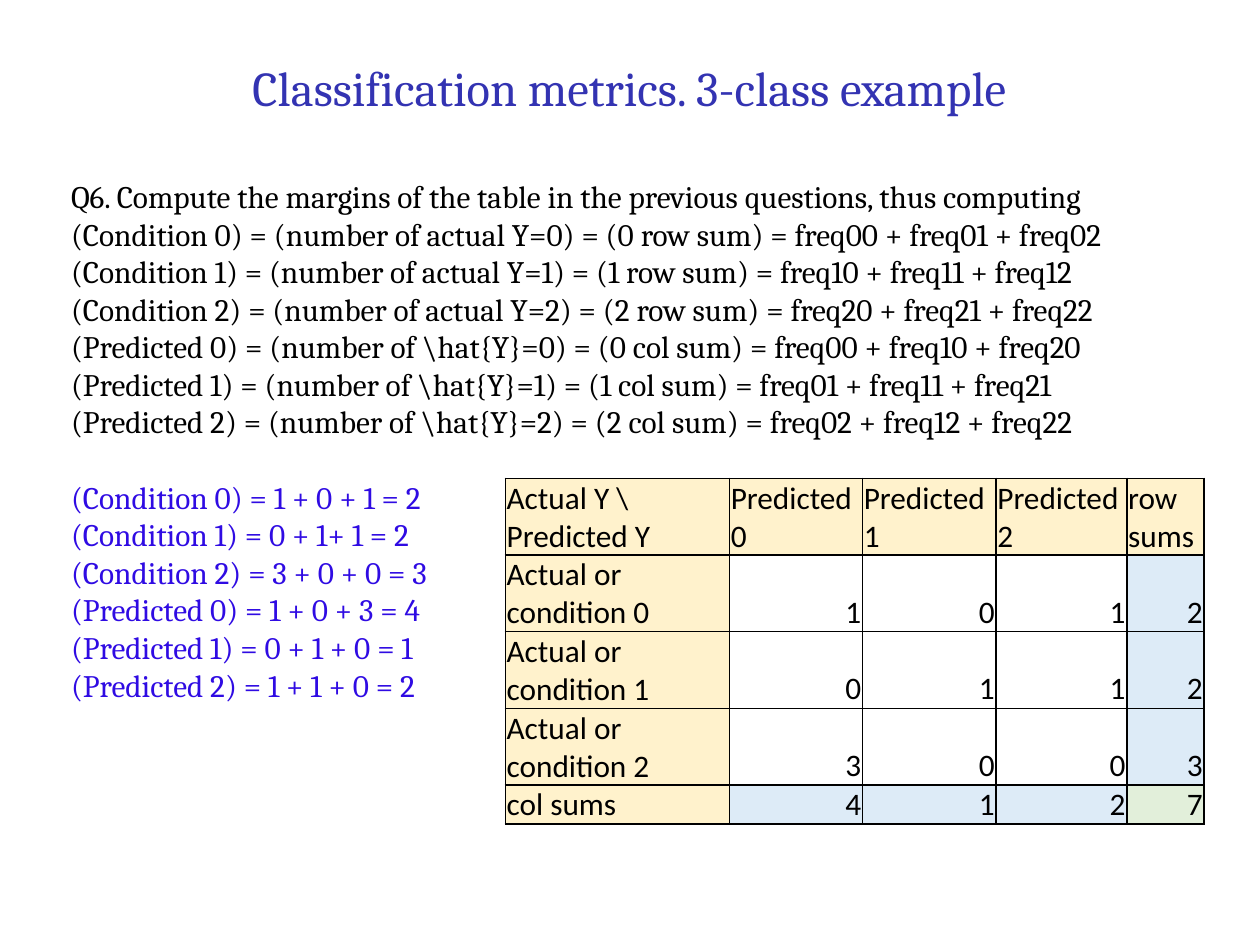
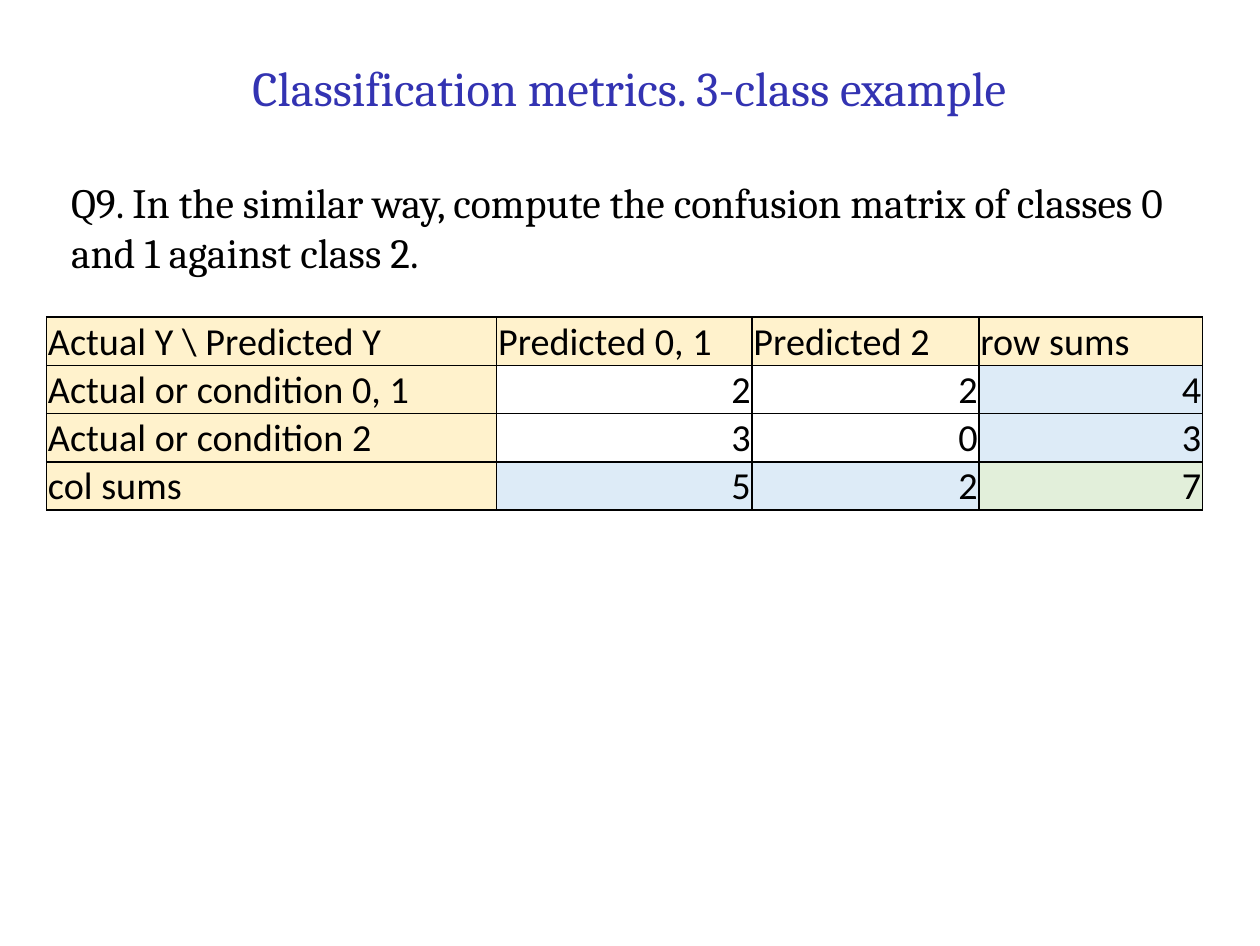
import pptx
import pptx.dml.color
import pptx.enum.text
import pptx.oxml.ns
import pptx.util
from lxml import etree

Pt = pptx.util.Pt
ALIGN = pptx.enum.text.PP_ALIGN
WIDTH, HEIGHT = 363, 272.5
BLACK, TITLE_BLUE, ANSWER_BLUE = "000000", "3333B2", "2F0BE3"
LABEL_FILL, SUM_FILL, TOTAL_FILL = "FFF2CC", "DDEBF7", "E2EFDA"
CORNER = "Actual Y \\ Predicted Y"


def style(paragraph, font_name, size, color):
    paragraph.font.name = font_name
    paragraph.font.size = Pt(size)
    paragraph.font.color.rgb = pptx.dml.color.RGBColor.from_string(color)


def draw_border(cell):
    """Give all four sides of a table cell a thin black line."""
    properties = cell._tc.get_or_add_tcPr()
    qn = pptx.oxml.ns.qn
    for side in ("a:lnL", "a:lnR", "a:lnT", "a:lnB"):
        line = etree.SubElement(properties, qn(side), w=str(Pt(0.5)))
        fill = etree.SubElement(line, qn("a:solidFill"))
        etree.SubElement(fill, qn("a:srgbClr"), val=BLACK)


slides = [
    {
        "question": [
            "Q6. Compute the margins of the table in the previous questions, thus computing",
            "(Condition 0) = (number of actual Y=0) = (0 row sum) = freq00 + freq01 + freq02",
            "(Condition 1) = (number of actual Y=1) = (1 row sum) = freq10 + freq11 + freq12",
            "(Condition 2) = (number of actual Y=2) = (2 row sum) = freq20 + freq21 + freq22",
            "(Predicted 0) = (number of \\hat{Y}=0) = (0 col sum) = freq00 + freq10 + freq20",
            "(Predicted 1) = (number of \\hat{Y}=1) = (1 col sum) = freq01 + freq11 + freq21",
            "(Predicted 2) = (number of \\hat{Y}=2) = (2 col sum) = freq02 + freq12 + freq22",
        ],
        "answers": [
            "(Condition 0) = 1 + 0 + 1 = 2",
            "(Condition 1) = 0 + 1+ 1 = 2",
            "(Condition 2) = 3 + 0 + 0 = 3",
            "(Predicted 0) = 1 + 0 + 3 = 4",
            "(Predicted 1) = 0 + 1 + 0 = 1",
            "(Predicted 2) = 1 + 1 + 0 = 2",
        ],
        "text_size": 9, "text_height": 170.6,
        "predicted": ["Predicted\n0", "Predicted\n1", "Predicted\n2"],
        "actual": ["Actual or condition 0", "Actual or condition 1", "Actual or condition 2"],
        "counts": [[1, 0, 1], [0, 1, 1], [3, 0, 0]],
        "table_size": 9, "table_at": (145.6, 137.8),
        "widths": [64.6, 38.3, 38.5, 37.7, 22.3],
        "heights": [22, 22, 22, 22, 11.2],
    },
    {
        "question": ["Q9. In the similar way, compute the confusion matrix of classes 0 "
                     "and 1 against class 2."],
        "answers": [],
        "text_size": 12, "text_height": 36,
        "predicted": ["Predicted 0, 1", "Predicted 2"],
        "actual": ["Actual or condition 0, 1", "Actual or condition 2"],
        "counts": [[2, 2], [3, 0]],
        "table_size": 11, "table_at": (13.4, 91.4),
        "widths": [129.7, 73.6, 65.4, 64.4],
        "heights": [13.9] * 4,
    },
]

deck = pptx.Presentation()
deck.slide_width, deck.slide_height = Pt(WIDTH), Pt(HEIGHT)

for content in slides:
    slide = deck.slides.add_slide(deck.slide_layouts[6])

    title = slide.shapes.add_textbox(0, Pt(16.6), Pt(WIDTH), Pt(17)).text_frame
    title.margin_left = title.margin_right = title.margin_top = title.margin_bottom = 0
    title.word_wrap = True
    title.text = "Classification metrics. 3-class example"
    title.paragraphs[0].alignment = ALIGN.CENTER
    style(title.paragraphs[0], "Cambria", 14, TITLE_BLUE)

    body = slide.shapes.add_textbox(
        Pt(13.4), Pt(47.5), Pt(338.4), Pt(content["text_height"])).text_frame
    body.word_wrap = True
    body.text = "\n".join(content["question"] + content["answers"])
    first_answer = len(content["question"])
    for i, paragraph in enumerate(body.paragraphs):
        style(paragraph, "Cambria", content["text_size"],
              BLACK if i < first_answer else ANSWER_BLUE)
        if i == first_answer:
            paragraph.space_before = Pt(10.8)

    counts = content["counts"] + [[sum(column) for column in zip(*content["counts"])]]
    rows = [[CORNER] + content["predicted"] + ["row sums"]]
    for label, values in zip(content["actual"] + ["col sums"], counts):
        rows.append([label] + values + [sum(values)])

    left, top = content["table_at"]
    widths, heights = content["widths"], content["heights"]
    matrix = slide.shapes.add_table(
        len(rows), len(widths), Pt(left), Pt(top), Pt(sum(widths)), Pt(sum(heights))).table
    matrix.first_row = matrix.horz_banding = False
    for column, width in zip(matrix.columns, widths):
        column.width = Pt(width)
    for row, height in zip(matrix.rows, heights):
        row.height = Pt(height)

    for r, values in enumerate(rows):
        for c, value in enumerate(values):
            cell = matrix.cell(r, c)
            cell.margin_left = cell.margin_right = cell.margin_top = Pt(0.4)
            cell.margin_bottom = 0
            cell.vertical_anchor = pptx.enum.text.MSO_ANCHOR.BOTTOM
            cell.text = str(value)
            is_label = r == 0 or c == 0
            for paragraph in cell.text_frame.paragraphs:
                paragraph.alignment = ALIGN.LEFT if is_label else ALIGN.RIGHT
                style(paragraph, "Calibri", content["table_size"], BLACK)

            draw_border(cell)
            sums_crossed = (r == len(rows) - 1) + (c == len(values) - 1)
            color = LABEL_FILL if is_label else (None, SUM_FILL, TOTAL_FILL)[sums_crossed]
            if color:
                cell.fill.solid()
                cell.fill.fore_color.rgb = pptx.dml.color.RGBColor.from_string(color)
            else:
                cell.fill.background()

deck.save("out.pptx")
